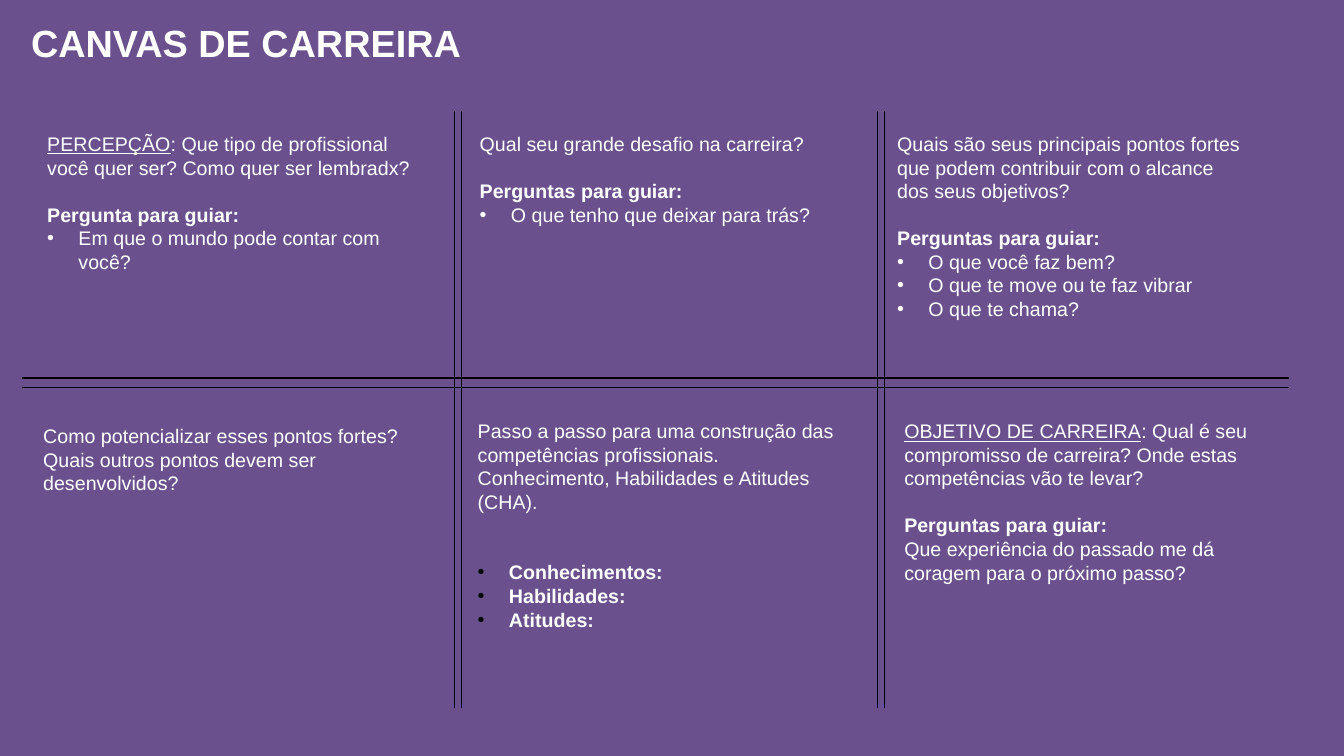
from lxml import etree
from pptx import Presentation, util as u
from pptx.dml.color import RGBColor
from pptx.enum import shapes, text
from pptx.oxml import ns

PURPLE = RGBColor(0x6A, 0x51, 0x8E)
WHITE = RGBColor(0xFF, 0xFF, 0xFF)
BLACK = RGBColor(0, 0, 0)
GAP = 16.8


def put(para, words, size=14, bold=False, under=False, color=WHITE):
    run = para.add_run()
    run.text = words
    font = run.font
    font.name = "Arial"
    font.size = u.Pt(size)
    font.bold = bold
    font.underline = under
    font.color.rgb = color


def bullet(para, color):
    props = para._p.get_or_add_pPr()
    props.set("marL", str(u.Inches(0.31)))
    props.set("indent", str(u.Inches(-0.31)))
    tint = etree.SubElement(props, ns.qn("a:buClr"))
    etree.SubElement(tint, ns.qn("a:srgbClr")).set("val", str(color))
    etree.SubElement(props, ns.qn("a:buFont")).set("typeface", "Arial")
    etree.SubElement(props, ns.qn("a:buChar")).set("char", "•")


class Canvas:
    def __init__(self, slide):
        self.slide = slide

    def rect(self, x, y, w, h, color):
        box = self.slide.shapes.add_shape(
            shapes.MSO_SHAPE.RECTANGLE, *map(u.Inches, (x, y, w, h)))
        box.shadow.inherit = False
        box.fill.solid()
        box.fill.fore_color.rgb = color
        box.line.fill.background()

    def line(self, x1, y1, x2, y2):
        rule = self.slide.shapes.add_connector(
            shapes.MSO_CONNECTOR.STRAIGHT, *map(u.Inches, (x1, y1, x2, y2)))
        rule.line.color.rgb = BLACK
        rule.line.width = u.Pt(0.75)
        etree.SubElement(rule._element.spPr, ns.qn("a:effectLst"))

    def frame(self, x, y, w, h):
        box = self.slide.shapes.add_textbox(*map(u.Inches, (x, y, w, h)))
        frame = box.text_frame
        frame.word_wrap = True
        frame.auto_size = text.MSO_AUTO_SIZE.SHAPE_TO_FIT_TEXT
        return frame

    def title(self, x, y, w, h, words):
        put(self.frame(x, y, w, h).paragraphs[0], words, size=27, bold=True)

    def cell(self, x, y, w, h, intro, key="", head="", items=(), tail="",
             bold=False, dot=WHITE, gap=GAP):
        frame = self.frame(x, y, w, h)
        para = frame.paragraphs[0]
        if key:
            put(para, key, under=True)
        put(para, intro)
        if head:
            para = frame.add_paragraph()
            para.space_before = u.Pt(gap)
            put(para, head, bold=True)
        for i, item in enumerate(items):
            para = frame.add_paragraph()
            if i == 0 and not head:
                para.space_before = u.Pt(gap)
            bullet(para, dot)
            put(para, item, bold=bold)
        if tail:
            put(frame.add_paragraph(), tail)


def main():
    deck = Presentation()
    deck.slide_width = u.Inches(13.33)
    deck.slide_height = u.Inches(7.5)
    page = Canvas(deck.slides.add_slide(deck.slide_layouts[6]))

    page.rect(0, 0, 13.33, 7.5, PURPLE)
    page.title(0.21, 0.15, 12.74, 0.56, "CANVAS DE CARREIRA")
    for x in (4.51, 4.58, 8.7, 8.77):
        page.line(x, 1.1, x, 7.02)
    for y in (3.75, 3.84):
        page.line(0.22, y, 12.78, y)

    guide = "Perguntas para guiar:"
    page.cell(0.37, 1.26, 3.95, 1.75,
              ": Que tipo de profissional você quer ser? Como quer ser lembradx?",
              key="PERCEPÇÃO", head="Pergunta para guiar:",
              items=["Em que o mundo pode contar com você?"])
    page.cell(4.66, 1.26, 3.5, 1.28, "Qual seu grande desafio na carreira?",
              head=guide, items=["O que tenho que deixar para trás?"])
    page.cell(8.8, 1.26, 3.68, 1.99,
              "Quais são seus principais pontos fortes que podem contribuir "
              "com o alcance dos seus objetivos?",
              head=guide,
              items=["O que você faz bem?", "O que te move ou te faz vibrar",
                     "O que te chama?"])
    page.cell(0.33, 4.16, 3.95, 0.81,
              "Como potencializar esses pontos fortes? "
              "Quais outros pontos devem ser desenvolvidos?")
    page.cell(4.64, 4.11, 3.76, 2.22,
              "Passo a passo para uma construção das competências "
              "profissionais. Conhecimento, Habilidades e Atitudes (CHA).",
              items=["Conhecimentos:", "Habilidades:", "Atitudes:"],
              bold=True, dot=BLACK, gap=2 * GAP)
    page.cell(8.87, 4.11, 3.95, 1.99,
              ": Qual é seu compromisso de carreira? "
              "Onde estas competências vão te levar?",
              key="OBJETIVO DE CARREIRA", head=guide,
              tail="Que experiência do passado me dá coragem "
                   "para o próximo passo?")
    deck.save("out.pptx")


if __name__ == "__main__":
    main()
